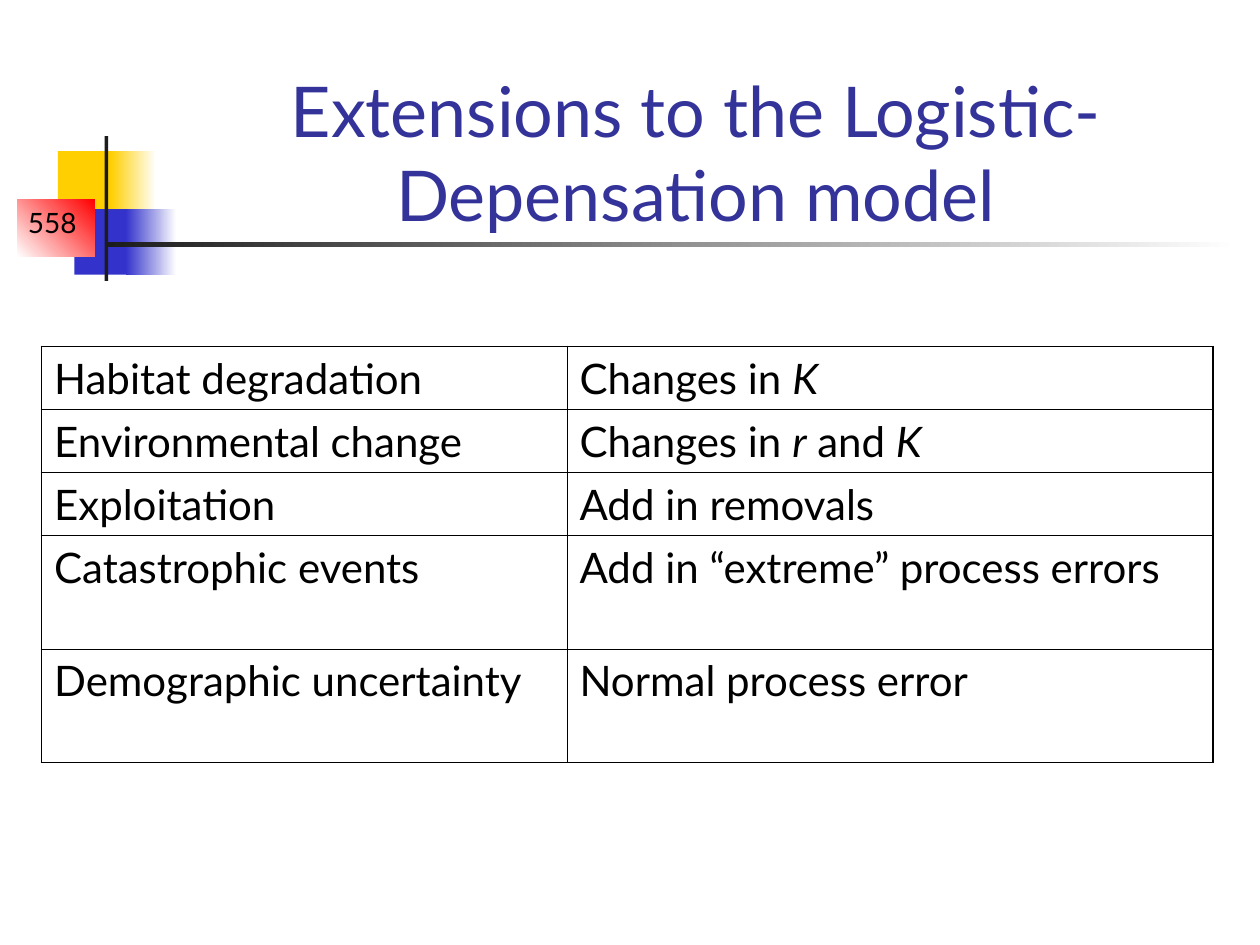
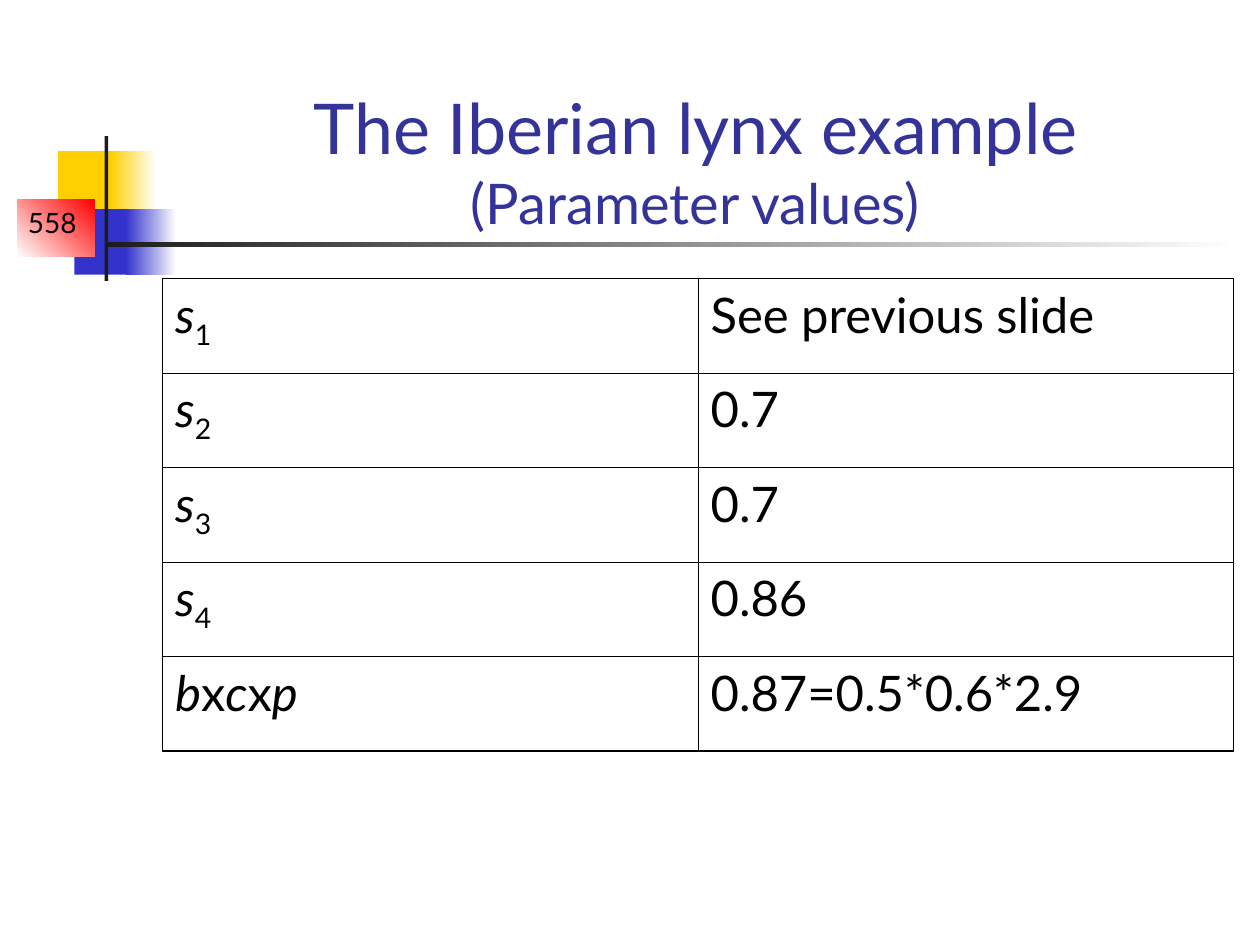
from dataclasses import dataclass

from lxml import etree
from pptx import Presentation
from pptx import util as u
from pptx.dml.color import RGBColor
from pptx.enum import shapes, text
from pptx.oxml import ns


@dataclass(frozen=True)
class Theme:
    font: str = "Lato"
    ink: str = "000000"
    paper: str = "FFFFFF"
    title: str = "333399"
    yellow: str = "FFCF01"
    blue: str = "3333CC"
    red: str = "FF0000"
    rule: str = "1C1C1C"
    title_size: int = 40
    subtitle_size: int = 32
    number_size: int = 16
    outer_line: float = 1.08
    inner_line: float = 0.45


theme = Theme()
deck = Presentation()
deck.slide_width, deck.slide_height = u.Inches(10), u.Inches(7.5)


def share(left, top, width, height):
    """Turn percentages of the slide into left, top, width and height."""
    across, down = deck.slide_width / 100, deck.slide_height / 100
    return [u.Emu(round(part)) for part in
            (left * across, top * down, width * across, height * down)]


def write(paragraph, runs, size, color=theme.ink):
    """Add (words, style) runs; the style is "", "italic" or "sub"."""
    for words, style in runs:
        run = paragraph.add_run()
        run.text = words
        look = {"name": theme.font, "size": u.Pt(size), "italic": style == "italic"}
        for key, value in look.items():
            setattr(run.font, key, value)
        run.font.color.rgb = RGBColor.from_string(color)
        if style == "sub":
            run.font._element.set("baseline", "-25000")


# Content: each table cell is a list of runs
decks_content = [
    {
        "title": "Extensions to the Logistic-Depensation model",
        "subtitle": "",
        "corner": (3.3, 36.67),
        "columns": [41.7, 51.3],
        "rows": [6.67, 6.67, 6.67, 12, 12],
        "size": 24,
        "space": 6,
        "cells": [
            ([("Habitat degradation", "")],
             [("Changes in ", ""), ("K", "italic")]),
            ([("Environmental change", "")],
             [("Changes in ", ""), ("r", "italic"), (" and ", ""), ("K", "italic")]),
            ([("Exploitation", "")], [("Add in removals", "")]),
            ([("Catastrophic events", "")],
             [("Add in “extreme” process errors", "")]),
            ([("Demographic uncertainty", "")], [("Normal process error", "")]),
        ],
    },
    {
        "title": "The Iberian lynx example",
        "subtitle": "(Parameter values)",
        "corner": (12.9, 29.47),
        "columns": [42.5] * 2,
        "rows": [10] * 5,
        "size": 28,
        "space": 7,
        "cells": [
            *(([("s", "italic"), (str(stage), "sub")], [(survival, "")])
              for stage, survival in enumerate(
                  ["See previous slide", "0.7", "0.7", "0.86"], 1)),
            ([("b", "italic"), ("x", ""), ("c", "italic"), ("x", ""), ("p", "italic")],
             [("0.87=0.5*0.6*2.9", "")]),
        ],
    },
]

# Shared layout: title place
layout = deck.slide_layouts[5]
title_place = dict(zip(("left", "top", "width", "height"),
                       share(12.6, 8.93, 85.2, 16.67)))
for key, value in title_place.items():
    setattr(layout.placeholders[0], key, value)

slides = [deck.slides.add_slide(layout) for _ in decks_content]

# Shared layout: coloured squares and rules, as (place, colours, gradient angle)
band = [
    ((4.6, 16, 4.8, 6.93), [theme.yellow], 0),
    ((8.8, 16, 3.6, 6.93), [theme.yellow, theme.paper], 0),
    ((5.9, 22.13, 4.6, 6.93), [theme.blue], 0),
    ((10, 22.13, 4, 6.93), [theme.blue, theme.paper], 0),
    ((1.4, 21.07, 6.1, 6.13), [theme.paper, theme.red], 45),
    ((8.3, 14.4, 0.3, 15.33), [theme.rule], 0),
    ((8.3, 25.6, 90, 0.53), [theme.rule, theme.paper], 0),
]
shared = []
for place, colors, angle in band:
    block = slides[0].shapes.add_shape(shapes.MSO_SHAPE.RECTANGLE, *share(*place))
    block.shadow.inherit = False
    block.line.fill.background()
    if len(colors) == 1:
        block.fill.solid()
        block.fill.fore_color.rgb = RGBColor.from_string(colors[0])
    else:
        block.fill.gradient()
        block.fill.gradient_angle = angle
        for stop, color in zip(block.fill.gradient_stops, colors):
            stop.color.rgb = RGBColor.from_string(color)
    shared.append(block)

# Shared layout: page number
number = slides[0].shapes.add_textbox(*share(0, 21.07, 8.3, 4.93))
number.text_frame.word_wrap = True
number_line = number.text_frame.paragraphs[0]
number_line.alignment = text.PP_ALIGN.CENTER
write(number_line, [("558", "")], theme.number_size)
shared.append(number)

# Hand the shared parts to the layout, under ids that are free there
for part_id, part in enumerate(shared, 20):
    part.element.nvSpPr.cNvPr.set("id", str(part_id))
    layout.element.cSld.spTree.append(part.element)

# Slides: title and table
for slide, content in zip(slides, decks_content):
    heading = slide.shapes.title.text_frame
    frame_look = {"vertical_anchor": text.MSO_ANCHOR.BOTTOM, "word_wrap": True,
                  "auto_size": text.MSO_AUTO_SIZE.NONE}
    for key, value in frame_look.items():
        setattr(heading, key, value)
    heading_line = heading.paragraphs[0]
    heading_line.alignment = text.PP_ALIGN.CENTER
    write(heading_line, [(content["title"], "")], theme.title_size, theme.title)
    if content["subtitle"]:
        heading_line.add_line_break()
        write(heading_line, [(content["subtitle"], "")],
              theme.subtitle_size, theme.title)

    columns, rows = content["columns"], content["rows"]
    grid = slide.shapes.add_table(
        len(rows), len(columns),
        *share(*content["corner"], sum(columns), sum(rows))).table
    grid.first_row = grid.horz_banding = False
    for column, width in zip(grid.columns, columns):
        column.width = share(0, 0, width, 0)[2]
    for row, height in zip(grid.rows, rows):
        row.height = share(0, 0, 0, height)[3]

    for r, row_cells in enumerate(content["cells"]):
        for c, runs in enumerate(row_cells):
            cell = grid.cell(r, c)
            cell_line = cell.text_frame.paragraphs[0]
            cell_line.space_before = u.Pt(content["space"])
            write(cell_line, runs, content["size"])

            # Thick lines on the outside of the table, thin ones within
            outside = {"a:lnL": c == 0, "a:lnR": c == len(columns) - 1,
                       "a:lnT": r == 0, "a:lnB": r == len(rows) - 1}
            borders = cell._tc.get_or_add_tcPr()
            for tag, is_outer in outside.items():
                weight = theme.outer_line if is_outer else theme.inner_line
                edge = etree.SubElement(borders, ns.qn(tag), w=str(int(u.Pt(weight))))
                paint = etree.SubElement(edge, ns.qn("a:solidFill"))
                etree.SubElement(paint, ns.qn("a:srgbClr"), val=theme.ink)
            cell.fill.background()

deck.save("out.pptx")
